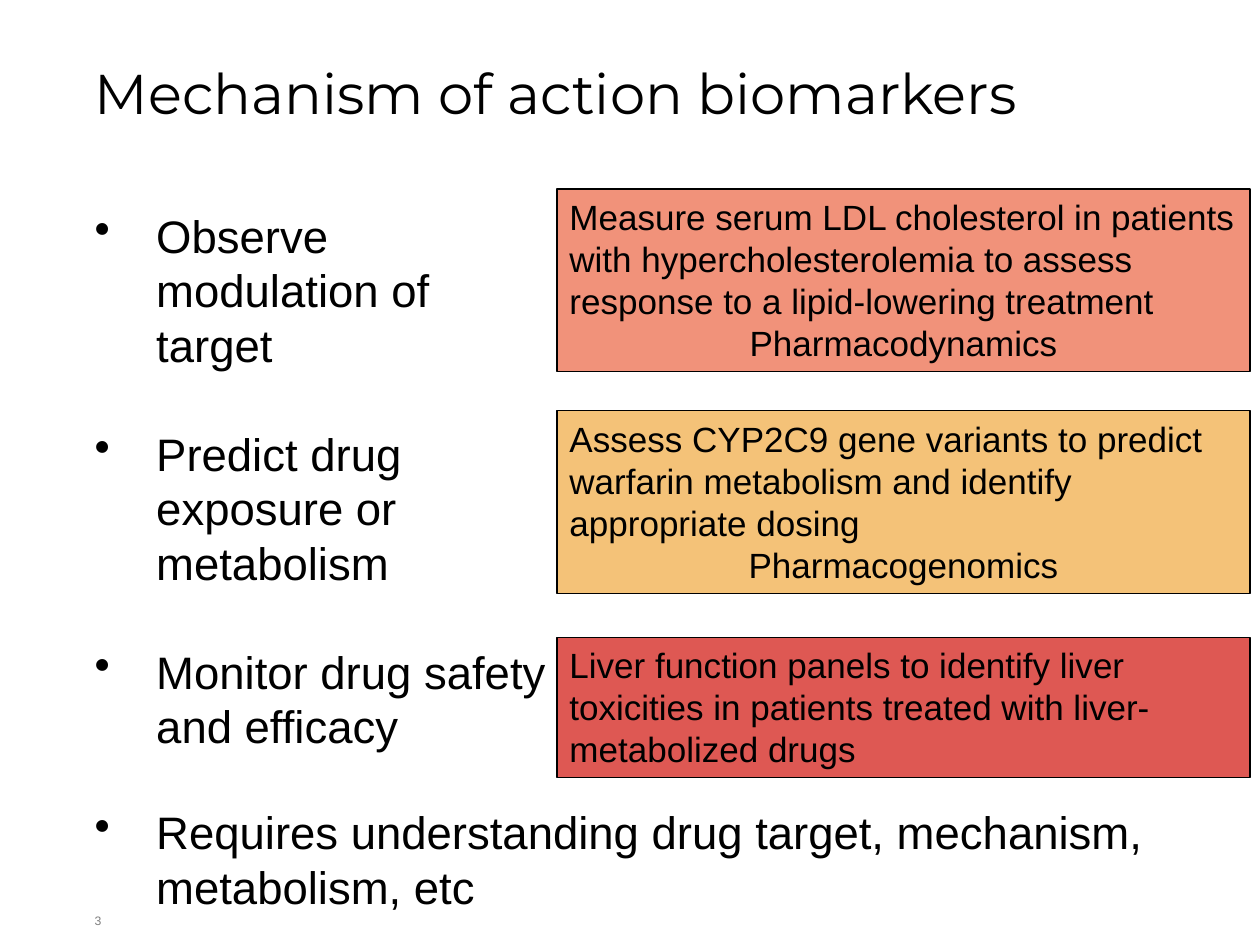
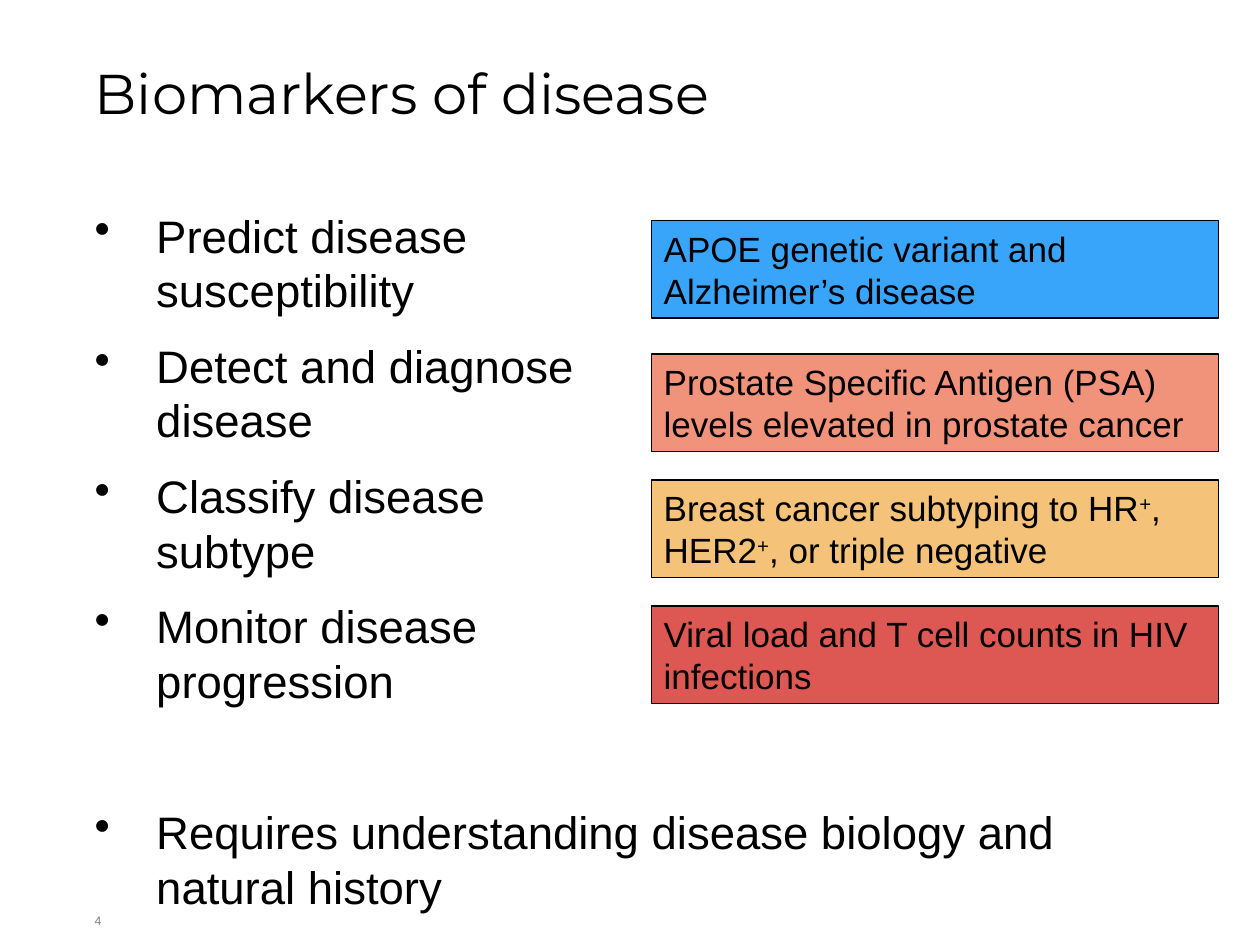
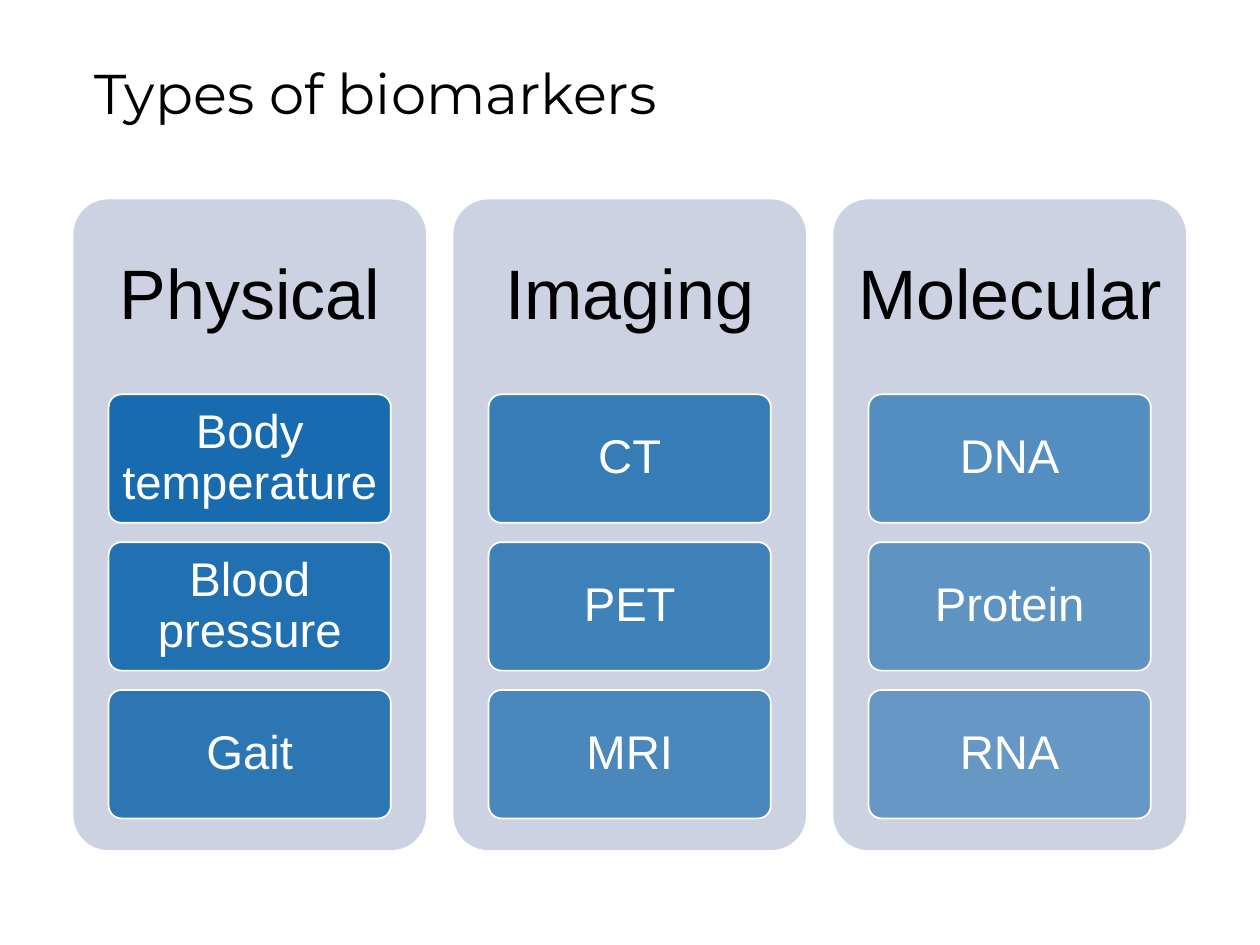
import dataclasses

import pptx
import pptx.dml.color
import pptx.enum.shapes
import pptx.enum.text
import pptx.oxml.ns
import pptx.oxml.xmlchemy
import pptx.util

Cm = pptx.util.Cm
Pt = pptx.util.Pt
ALIGN = pptx.enum.text.PP_ALIGN
ANCHOR = pptx.enum.text.MSO_ANCHOR
SHAPE = pptx.enum.shapes.MSO_SHAPE


@dataclasses.dataclass(frozen=True)
class Theme:
    # Fonts
    title_font: str = "Montserrat"
    body_font: str = "Arial"
    # Colours
    ink: str = "000000"
    paper: str = "FFFFFF"
    grey: str = "7F7F7F"
    blue: str = "39A5FA"
    salmon: str = "F1927A"
    amber: str = "F4C278"
    red: str = "DE5853"
    panel: str = "CCD2E2"
    tile: str = "0460A9"
    # Type sizes in points
    title_size: int = 32
    bullet_size: int = 26
    example_size: int = 20
    heading_size: int = 40
    tile_size: int = 27
    number_size: int = 7
    # Left margin and bullet indent in centimetres
    margin: float = 1.91
    indent: float = 1.24


THEME = Theme()


def colour(value):
    return pptx.dml.color.RGBColor.from_string(value)


def add_element(parent, tag, name, value):
    element = pptx.oxml.xmlchemy.OxmlElement(tag)
    element.set(name, value)
    parent.append(element)


def write(para, text, size, font=THEME.body_font, color=THEME.ink,
          align=ALIGN.LEFT, line_spacing=None, space_before=0, bullet=False):
    """Fill a paragraph; text between ^ marks is raised."""
    if bullet:
        properties = para._p.get_or_add_pPr()
        properties.set("marL", str(int(Cm(THEME.indent))))
        properties.set("indent", str(-int(Cm(THEME.indent))))
        add_element(properties, "a:buChar", "char", "•")
    para.alignment = align
    if line_spacing:
        para.line_spacing = line_spacing
    if space_before:
        para.space_before = Pt(space_before)
    for index, piece in enumerate(text.split("^")):
        span = para.add_run()
        span.text = piece
        span.font.size = Pt(size)
        span.font.name = font
        span.font.color.rgb = colour(color)
        if index % 2:
            span._r.get_or_add_rPr().set("baseline", "30000")


class Deck:
    def __init__(self, theme):
        self.theme = theme
        self.deck = pptx.Presentation()
        self.deck.slide_width = Cm(25.4)
        self.deck.slide_height = Cm(19.05)
        self.page = None

    def frame(self, box, insets=(0, 0), anchor=ANCHOR.TOP):
        """Set wrapping, insets (across, down) and anchor of a text frame."""
        frame = box.text_frame
        frame.word_wrap = True
        frame.auto_size = pptx.enum.text.MSO_AUTO_SIZE.NONE
        frame.margin_left = frame.margin_right = Cm(insets[0])
        frame.margin_top = frame.margin_bottom = Cm(insets[1])
        frame.vertical_anchor = anchor
        return frame

    def new_page(self, title, number=None):
        self.page = self.deck.slides.add_slide(self.deck.slide_layouts[5])
        box = self.page.shapes.title
        box.left, box.top = Cm(self.theme.margin), Cm(1.27)
        box.width, box.height = Cm(21.59), Cm(2.67)
        write(self.frame(box).paragraphs[0], title, self.theme.title_size,
              font=self.theme.title_font, line_spacing=0.95)
        if number:
            self.text(self.theme.margin, 18.42, 0.64, 0.63, [number],
                      size=self.theme.number_size, color=self.theme.grey)

    def text(self, left, top, width, height, lines, insets=(0, 0),
             anchor=ANCHOR.TOP, gap=0, **style):
        box = self.page.shapes.add_textbox(Cm(left), Cm(top), Cm(width), Cm(height))
        frame = self.frame(box, insets, anchor)
        for index, line in enumerate(lines):
            para = frame.add_paragraph() if index else frame.paragraphs[0]
            write(para, line, space_before=gap if index else 0, **style)

    def bullets(self, top, width, height, lines, gap=0):
        self.text(self.theme.margin, top, width, height, lines, gap=gap,
                  size=self.theme.bullet_size, bullet=True)

    def shape(self, kind, left, top, width, height, fill, line=None,
              line_width=0.75, opacity=None):
        shape = self.page.shapes.add_shape(kind, Cm(left), Cm(top), Cm(width), Cm(height))
        shape.shadow.inherit = False
        shape.fill.solid()
        shape.fill.fore_color.rgb = colour(fill)
        if opacity:
            solid = shape.element.spPr.find(pptx.oxml.ns.qn("a:solidFill"))
            add_element(solid[0], "a:alpha", "val", str(opacity * 1000))
        if line:
            shape.line.color.rgb = colour(line)
            shape.line.width = Pt(line_width)
        else:
            shape.line.fill.background()
        if kind == SHAPE.ROUNDED_RECTANGLE:
            shape.adjustments[0] = 0.1
        return shape

    def example(self, left, top, width, height, fill, lines, caption=None):
        shape = self.shape(SHAPE.RECTANGLE, left, top, width, height, fill, self.theme.ink)
        frame = self.frame(shape, (0.25, 0.13), ANCHOR.TOP)
        for index, line in enumerate(lines):
            para = frame.add_paragraph() if index else frame.paragraphs[0]
            write(para, line, self.theme.example_size)
        if caption:
            write(frame.add_paragraph(), caption, self.theme.example_size, align=ALIGN.CENTER)

    def tile(self, left, top, width, height, label, opacity):
        shape = self.shape(SHAPE.ROUNDED_RECTANGLE, left, top, width, height,
                           self.theme.tile, self.theme.paper, 1, opacity)
        frame = self.frame(shape, (0.18, 0.15), ANCHOR.MIDDLE)
        write(frame.paragraphs[0], label, self.theme.tile_size, color=self.theme.paper,
              align=ALIGN.CENTER, line_spacing=0.9)

    def requirement(self, line):
        self.bullets(16.21, 22.23, 2.6, [line])


def mechanism_page(deck):
    deck.new_page("Mechanism of action biomarkers", "3")
    deck.bullets(4.19, 9.14, 12.57, [
        "Observe modulation of target",
        "Predict drug exposure or metabolism",
        "Monitor drug safety and efficacy",
    ], gap=31)
    examples = [
        (3.81, 3.68, THEME.salmon,
         "Measure serum LDL cholesterol in patients with hypercholesterolemia "
         "to assess response to a lipid-lowering treatment", "Pharmacodynamics"),
        (8.28, 3.68, THEME.amber,
         "Assess CYP2C9 gene variants to predict warfarin metabolism "
         "and identify appropriate dosing", "Pharmacogenomics"),
        (12.85, 2.82, THEME.red,
         "Liver function panels to identify liver toxicities in patients "
         "treated with liver-metabolized drugs", None),
    ]
    for top, height, fill, line, caption in examples:
        deck.example(11.23, top, 13.97, height, fill, [line], caption)
    deck.requirement("Requires understanding drug target, mechanism, metabolism, etc")


def disease_page(deck):
    deck.new_page("Biomarkers of disease", "4")
    deck.bullets(4.19, 10.8, 12.57, [
        "Predict disease susceptibility",
        "Detect and diagnose disease",
        "Classify disease subtype",
        "Monitor disease progression",
    ], gap=12)
    examples = [
        (4.45, THEME.blue, ["APOE genetic variant and", "Alzheimer’s disease"]),
        (7.14, THEME.salmon,
         ["Prostate Specific Antigen (PSA) levels elevated in prostate cancer"]),
        (9.68, THEME.amber,
         ["Breast cancer subtyping to HR^+^, HER2^+^, or triple negative"]),
        (12.22, THEME.red, ["Viral load and T cell counts in HIV infections"]),
    ]
    for top, fill, lines in examples:
        deck.example(13.13, top, 11.43, 1.96, fill, lines)
    deck.requirement("Requires understanding disease biology and natural history")


def types_page(deck):
    deck.new_page("Types of biomarkers")
    groups = {
        "Physical": ["Body temperature", "Blood pressure", "Gait"],
        "Imaging": ["CT", "PET", "MRI"],
        "Molecular": ["DNA", "Protein", "RNA"],
    }
    top, width = 4.02, 7.11
    for column, (heading, labels) in enumerate(groups.items()):
        left = 1.48 + column * 7.66
        deck.shape(SHAPE.ROUNDED_RECTANGLE, left, top, width, 13.12, THEME.panel)
        deck.text(left, top, width, 3.94, [heading], insets=(0.43, 0.43),
                  anchor=ANCHOR.MIDDLE, size=THEME.heading_size,
                  align=ALIGN.CENTER, line_spacing=0.9)
        # Tiles fade step by step across all columns
        for row, label in enumerate(labels):
            opacity = 90 - 5 * (column * len(labels) + row)
            deck.tile(left + 0.71, 7.95 + row * 2.98, 5.69, 2.59, label, opacity)


def main():
    deck = Deck(THEME)
    mechanism_page(deck)
    disease_page(deck)
    types_page(deck)
    deck.deck.save("out.pptx")


if __name__ == "__main__":
    main()
